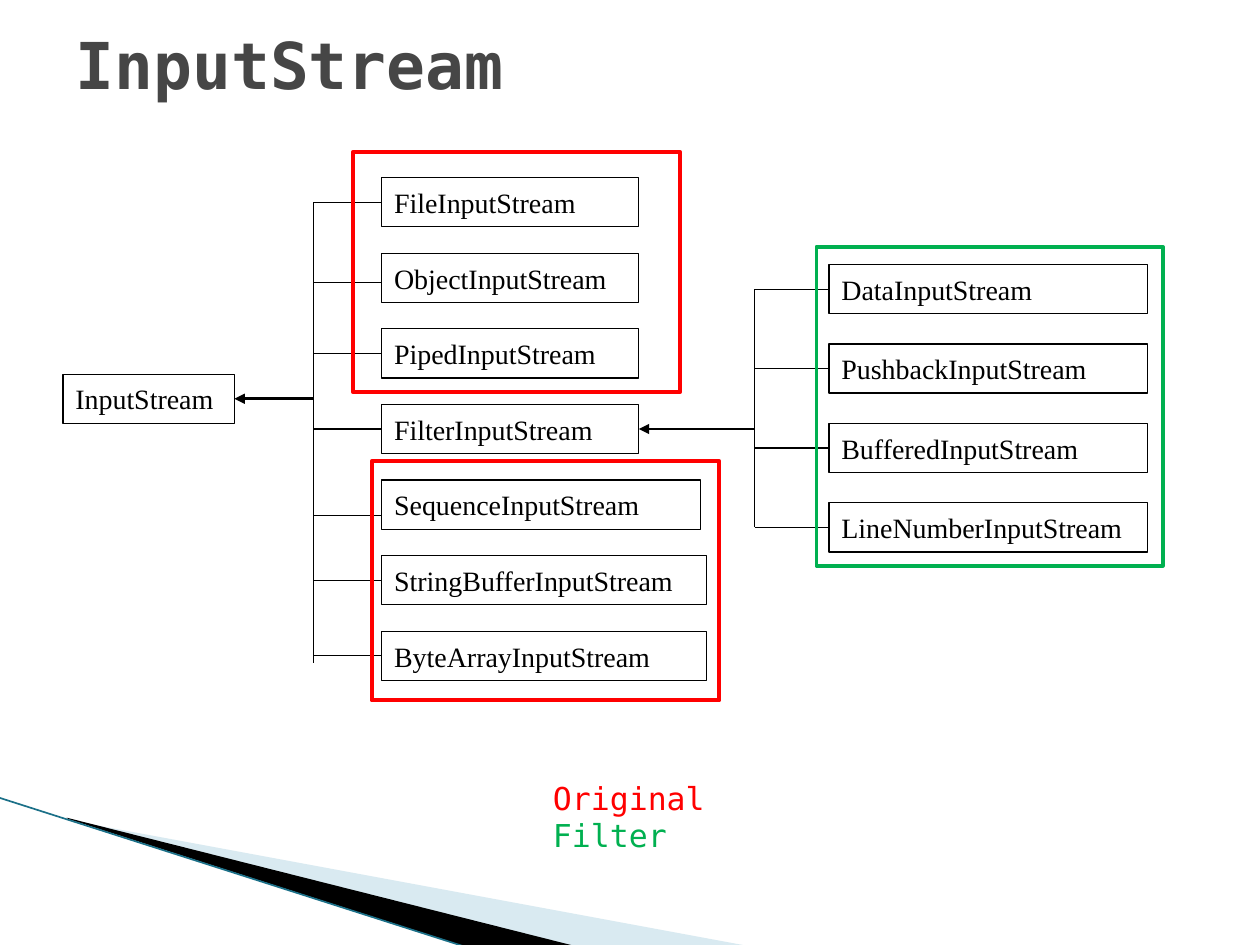
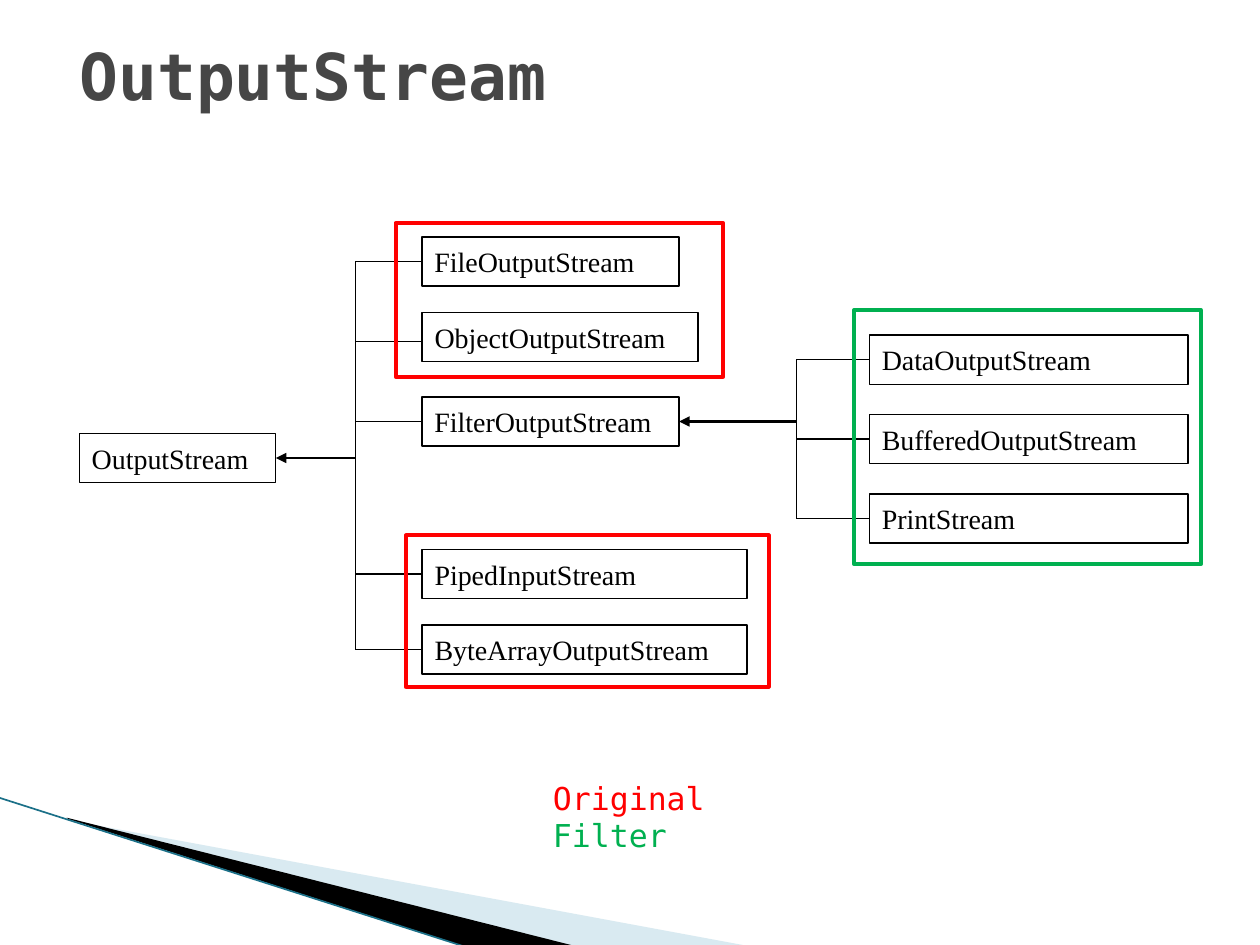
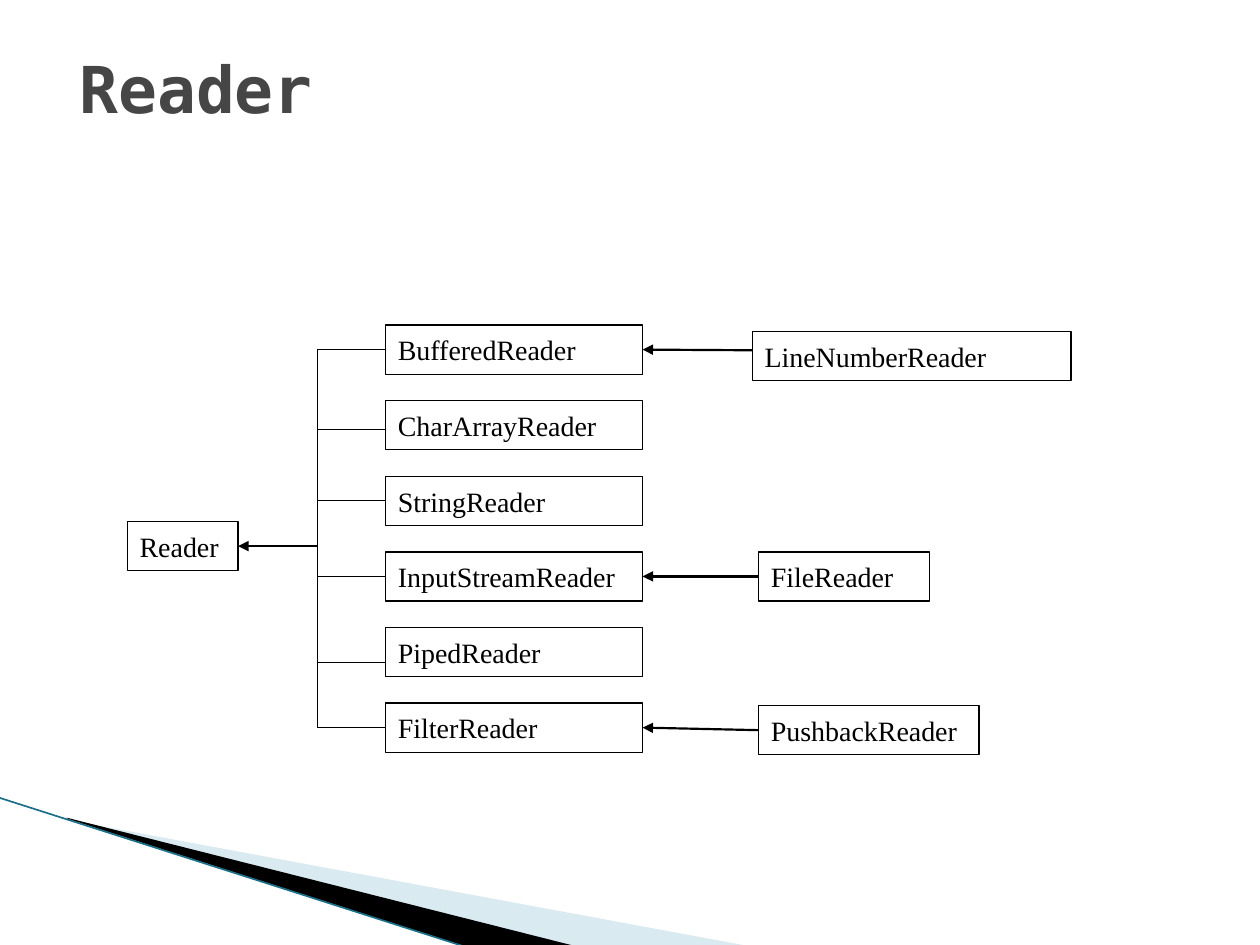
from dataclasses import dataclass
from typing import Optional

from lxml import etree
from pptx import Presentation
from pptx.dml.color import RGBColor
from pptx.enum.shapes import MSO_CONNECTOR, MSO_SHAPE
from pptx.enum.text import MSO_ANCHOR, MSO_AUTO_SIZE, PP_ALIGN
from pptx.oxml.ns import qn
from pptx.util import Inches, Pt

RECTANGLE = MSO_SHAPE.RECTANGLE
STRAIGHT = MSO_CONNECTOR.STRAIGHT
MIDDLE, TOP = MSO_ANCHOR.MIDDLE, MSO_ANCHOR.TOP
NO_AUTOSIZE = MSO_AUTO_SIZE.NONE
ALIGN_LEFT = PP_ALIGN.LEFT
LEFT_SIDE, RIGHT_SIDE = 1, 3

COLORS = {
    "title": "464646",
    "ink": "000000",
    "original": "FF0000",
    "filter": "00B050",
    "wedge_light": "A0CBDC",
    "wedge_dark": "000000",
    "wedge_edge": "1B7088",
}
MONO, SERIF = "DejaVu Sans Mono", "Times New Roman"
NODE_HEIGHT = 0.39
ROOT_ARROW, BRANCH_ARROW, THIN = 1.5, 1.25, 0.75


@dataclass(frozen=True)
class Node:
    """A class box; stub is the height of its link when not at mid-side."""
    text: str
    width: float = 2.04
    stub: Optional[float] = None
    children: Optional["Column"] = None


@dataclass(frozen=True)
class Column:
    """Stacked boxes, linked by a trunk line or, without one, directly."""
    left: float
    tops: list[float]
    nodes: list[Node]
    trunk: Optional[float] = None
    trunk_bottom: Optional[float] = None


@dataclass(frozen=True)
class Frame:
    color: str
    left: float
    top: float
    width: float
    height: float


@dataclass(frozen=True)
class Diagram:
    title: str
    title_left: float
    title_top: float
    root_left: float
    root_top: float
    root: Node
    frames: tuple[Frame, ...] = ()


def steps(first: float, pitch: float, count: int) -> list[float]:
    return [first + pitch * index for index in range(count)]


def rgb(name: str) -> RGBColor:
    return RGBColor.from_string(COLORS[name])


def write(shape, *lines: tuple[str, str], font: str, size: float,
          bold: bool = False, anchor=MIDDLE, wrap: bool = True) -> None:
    """Fill a shape with one paragraph per (text, colour) pair."""
    frame = shape.text_frame
    frame.word_wrap = wrap
    frame.auto_size = NO_AUTOSIZE
    frame.vertical_anchor = anchor
    for index, (text, color) in enumerate(lines):
        para = frame.paragraphs[0] if index == 0 else frame.add_paragraph()
        para.alignment = ALIGN_LEFT
        span = para.add_run()
        span.text = text
        span.font.name = font
        span.font.size = Pt(size)
        span.font.bold = bold
        span.font.color.rgb = rgb(color)


def add_outline(page, left: float, top: float, width: float, height: float,
                color: str, weight: float):
    box = page.shapes.add_shape(RECTANGLE, Inches(left), Inches(top),
                                Inches(width), Inches(height))
    box.shadow.inherit = False
    box.fill.background()
    box.line.color.rgb = rgb(color)
    box.line.width = Pt(weight)
    return box


def add_line(page, start: tuple[float, float], end: tuple[float, float],
             color: str = "ink", weight: float = THIN, arrow: bool = False):
    line = page.shapes.add_connector(STRAIGHT, *map(Inches, start + end))
    line.line.color.rgb = rgb(color)
    line.line.width = Pt(weight)
    if arrow:
        etree.SubElement(line.line._get_or_add_ln(), qn("a:tailEnd"), type="triangle")
    etree.SubElement(line.element.spPr, qn("a:effectLst"))
    return line


def add_wedge(page, points: list[tuple[float, float]], color: str,
              opacity: Optional[int] = None):
    corners = [(Inches(x), Inches(y)) for x, y in points]
    builder = page.shapes.build_freeform(*corners[0])
    builder.add_line_segments(corners[1:], close=True)
    wedge = builder.convert_to_shape()
    wedge.shadow.inherit = False
    wedge.fill.solid()
    wedge.fill.fore_color.rgb = rgb(color)
    wedge.line.fill.background()
    if opacity is not None:
        tint = wedge.element.spPr.find(f".//{qn('a:srgbClr')}")
        etree.SubElement(tint, qn("a:alpha"), val=str(opacity * 1000))
    return wedge


def decorate_layout(layout, page) -> None:
    """Draw the corner wedges on a page, then move them to the shared layout."""
    corner = [
        add_wedge(page, [(0.55, 6.51), (5.95, 7.51), (4.56, 7.51), (0.55, 6.5)],
                  "wedge_light", opacity=40),
        add_wedge(page, [(0.53, 6.49), (4.57, 7.51), (3.72, 7.52), (0.54, 6.5)],
                  "wedge_dark"),
        add_line(page, (-0.01, 6.33), (3.71, 7.52), "wedge_edge", 0.95),
    ]
    for shape in corner:
        layout.shapes.element.append(shape.element)


def draw_node(page, node: Node, left: float, top: float,
              arrow_weight: float = BRANCH_ARROW):
    """Draw a box and, to its right, everything that derives from it."""
    box = add_outline(page, left, top, node.width, NODE_HEIGHT, "ink", THIN)
    write(box, (node.text, "ink"), font=SERIF, size=16, wrap=False)
    column = node.children
    if column is None:
        return box

    right, middle = left + node.width, top + NODE_HEIGHT / 2
    has_trunk = column.trunk is not None
    link_heights = []
    for child, child_top in zip(column.nodes, column.tops):
        child_box = draw_node(page, child, column.left, child_top)
        height = child.stub or child_top + NODE_HEIGHT / 2
        link_heights.append(height)
        if has_trunk:
            link = add_line(page, (column.trunk, height), (column.left, height))
            if child.stub is None:
                link.end_connect(child_box, LEFT_SIDE)
        else:
            link = add_line(page, (column.left, height), (right, middle),
                            weight=arrow_weight, arrow=True)
            if child.stub is None:
                link.begin_connect(child_box, LEFT_SIDE)
            link.end_connect(box, RIGHT_SIDE)
    if has_trunk:
        add_line(page, (column.trunk, link_heights[0]),
                 (column.trunk, column.trunk_bottom or link_heights[-1]))
        arrow = add_line(page, (column.trunk, middle), (right, middle),
                         weight=arrow_weight, arrow=True)
        arrow.end_connect(box, RIGHT_SIDE)
    return box


def add_legend(page) -> None:
    legend = page.shapes.add_textbox(Inches(4.29), Inches(6.13),
                                     Inches(1.71), Inches(0.71))
    write(legend, ("Original", "original"), ("Filter", "filter"),
          font=MONO, size=18, anchor=TOP)


def draw_diagram(page, diagram: Diagram) -> None:
    title = page.shapes.title
    title.left, title.top = Inches(diagram.title_left), Inches(diagram.title_top)
    title.width, title.height = Inches(9), Inches(0.69)
    write(title, (diagram.title, "title"), font=MONO, size=36.9, bold=True)
    draw_node(page, diagram.root, diagram.root_left, diagram.root_top, ROOT_ARROW)
    for frame in diagram.frames:
        add_outline(page, frame.left, frame.top, frame.width, frame.height,
                    frame.color, 2.25)
    if diagram.frames:
        add_legend(page)


INPUT_FILTERS = Column(6.58, steps(2.1, 0.63, 4), [
    Node("DataInputStream", 2.53),
    Node("PushbackInputStream", 2.53),
    Node("BufferedInputStream", 2.53),
    Node("LineNumberInputStream", 2.53),
], trunk=5.99)

INPUT_STREAMS = Column(3.03, steps(1.41, 0.6, 7), [
    Node("FileInputStream"),
    Node("ObjectInputStream", stub=2.24),
    Node("PipedInputStream"),
    Node("FilterInputStream", children=INPUT_FILTERS),
    Node("SequenceInputStream", 2.53, stub=4.09),
    Node("StringBufferInputStream", 2.58),
    Node("ByteArrayInputStream", 2.58),
], trunk=2.49, trunk_bottom=5.26)

OUTPUT_FILTERS = Column(6.9, steps(2.66, 0.63, 3), [
    Node("DataOutputStream", 2.53),
    Node("BufferedOutputStream", 2.53),
    Node("PrintStream", 2.53),
], trunk=6.32)

OUTPUT_STREAMS = Column(3.35, [*steps(1.88, 0.6, 2), 3.15, *steps(4.36, 0.6, 2)], [
    Node("FileOutputStream"),
    Node("ObjectOutputStream", 2.19, stub=2.71),
    Node("FilterOutputStream", children=OUTPUT_FILTERS),
    Node("PipedInputStream", 2.58),
    Node("ByteArrayOutputStream", 2.58),
], trunk=2.82)

READERS = Column(3.06, steps(2.58, 0.6, 6), [
    Node("BufferedReader", children=Column(
        5.97, [2.63], [Node("LineNumberReader", 2.53, stub=2.78)])),
    Node("CharArrayReader", stub=3.41),
    Node("StringReader"),
    Node("InputStreamReader", children=Column(
        6.02, [4.38], [Node("FileReader", 1.36)])),
    Node("PipedReader", stub=5.26),
    Node("FilterReader", children=Column(
        6.02, [5.6], [Node("PushbackReader", 1.75)])),
], trunk=2.52)

DIAGRAMS = [
    Diagram("InputStream", 0.5, 0.16, 0.5, 2.97,
            Node("InputStream", 1.36, children=INPUT_STREAMS),
            (Frame("original", 2.8, 1.21, 2.6, 1.9),
             Frame("original", 2.95, 3.66, 2.76, 1.9),
             Frame("filter", 6.48, 1.96, 2.75, 2.53))),
    Diagram("OutputStream", 0.53, 0.25, 0.63, 3.44,
            Node("OutputStream", 1.56, children=OUTPUT_STREAMS),
            (Frame("original", 3.14, 1.77, 2.6, 1.22),
             Frame("original", 3.22, 4.25, 2.88, 1.2),
             Frame("filter", 6.78, 2.46, 2.75, 2.02))),
    Diagram("Reader", 0.53, 0.35, 1.01, 4.14,
            Node("Reader", 0.88, children=READERS)),
]


def main() -> None:
    deck = Presentation()
    deck.slide_width, deck.slide_height = Inches(10), Inches(7.5)
    layout = deck.slide_layouts[5]
    pages = [deck.slides.add_slide(layout) for _ in DIAGRAMS]
    decorate_layout(layout, pages[0])
    for page, diagram in zip(pages, DIAGRAMS):
        draw_diagram(page, diagram)
    deck.save("out.pptx")


if __name__ == "__main__":
    main()
